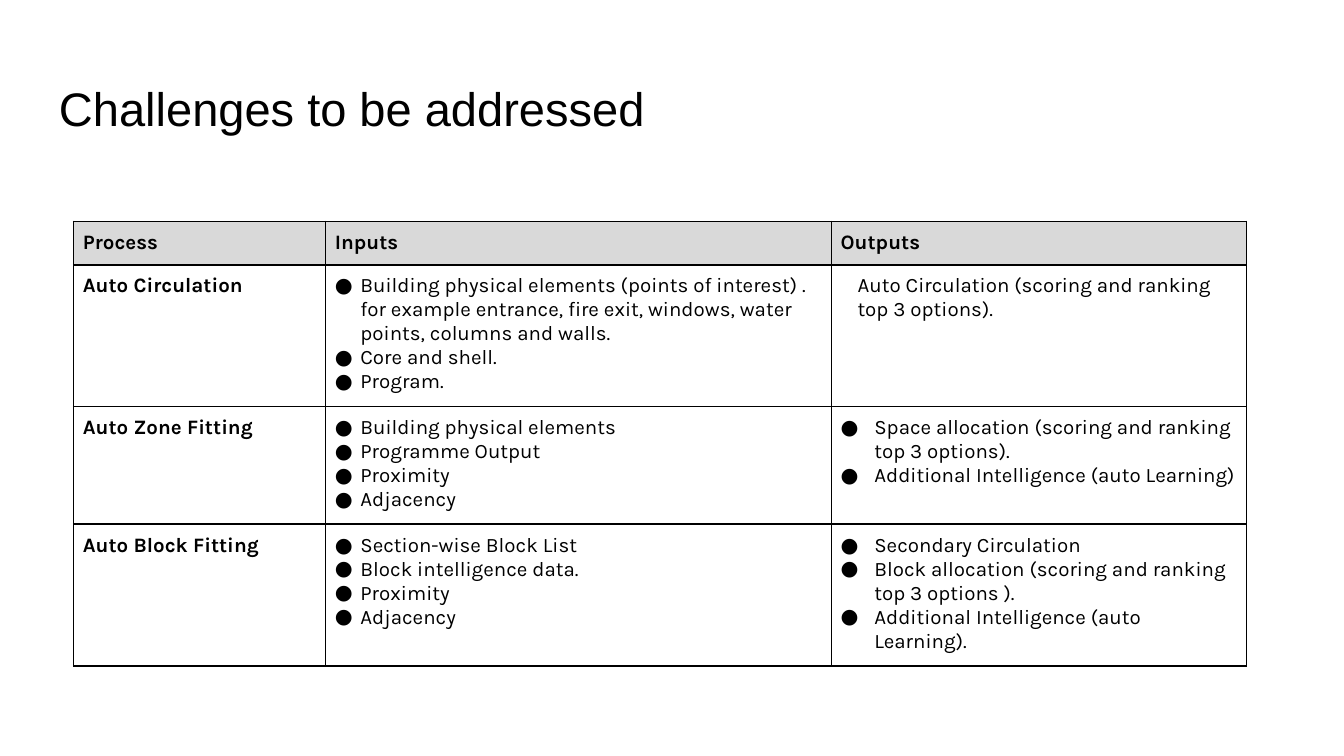
import pptx
import pptx.util
import pptx.dml.color
import pptx.enum.text
import pptx.oxml
import pptx.oxml.ns

Pt = pptx.util.Pt
NS = pptx.oxml.ns.nsdecls("a")


def style(para, font, size, bold=False):
    for run in para.runs:
        run.font.name = font
        run.font.size = Pt(size)
        run.font.bold = bold
        run.font.color.rgb = pptx.dml.color.RGBColor.from_string("000000")


def add_xml(node, xml):
    node.append(pptx.oxml.parse_xml(xml))


deck = pptx.Presentation()
deck.slide_width = Pt(720)
deck.slide_height = Pt(405)
slide = deck.slides.add_slide(deck.slide_layouts[6])

title = slide.shapes.add_textbox(Pt(24.5), Pt(35.3), Pt(671), Pt(45)).text_frame
title.word_wrap = True
title.vertical_anchor = pptx.enum.text.MSO_ANCHOR.MIDDLE
title.margin_left = title.margin_right = Pt(7.2)
title.margin_top = title.margin_bottom = Pt(7.2)
title.text = "Challenges to be addressed"
style(title.paragraphs[0], "Arial", 25.2)

rows = [
    [["Process"], ["Inputs"], ["Outputs"]],
    [
        ["Auto Circulation"],
        [
            "Building physical elements (points of interest) . for example "
            "entrance, fire exit, windows, water points, columns and walls.",
            "Core and shell.",
            "Program.",
        ],
        ["Auto Circulation (scoring and ranking top 3 options)."],
    ],
    [
        ["Auto Zone Fitting"],
        ["Building physical elements", "Programme Output", "Proximity", "Adjacency"],
        [
            "Space allocation (scoring and ranking top 3 options).",
            "Additional Intelligence (auto Learning)",
        ],
    ],
    [
        ["Auto Block Fitting"],
        ["Section-wise Block List", "Block intelligence data.", "Proximity", "Adjacency"],
        [
            "Secondary Circulation",
            "Block allocation (scoring and ranking top 3 options ).",
            "Additional Intelligence (auto Learning).",
        ],
    ],
]
widths = [135, 271, 222.5]
heights = [22.5, 74, 61, 74]
indents = [(0, 0), (13.7, -14.4), (18, -23.8)]

frame = slide.shapes.add_table(
    4, 3, Pt(39.4), Pt(118.6), Pt(sum(widths)), Pt(sum(heights))
)
table = frame.table
for col, width in zip(table.columns, widths):
    col.width = Pt(width)
for row, height in zip(table.rows, heights):
    row.height = Pt(height)

for r, row in enumerate(rows):
    for c, lines in enumerate(row):
        cell = table.cell(r, c)
        cell.margin_left = cell.margin_right = Pt(5)
        cell.margin_top = cell.margin_bottom = Pt(5)
        props = cell._tc.get_or_add_tcPr()
        for side in "LRTB":
            add_xml(
                props,
                f'<a:ln{side} {NS} w="{Pt(1)}"><a:solidFill>'
                f'<a:srgbClr val="000000"/></a:solidFill></a:ln{side}>',
            )
        if r == 0:
            cell.fill.solid()
            cell.fill.fore_color.rgb = pptx.dml.color.RGBColor.from_string("D9D9D9")
        else:
            cell.fill.background()
        cell.text_frame.text = "\n".join(lines)
        for para in cell.text_frame.paragraphs:
            head = r == 0 or c == 0
            props = para._p.get_or_add_pPr()
            if not head and len(lines) > 1:
                left, hang = indents[c]
                props.set("marL", str(Pt(left)))
                props.set("indent", str(Pt(hang)))
                add_xml(props, f'<a:buClr {NS}><a:srgbClr val="000000"/></a:buClr>')
                add_xml(props, f'<a:buFont {NS} typeface="Karla"/>')
                add_xml(props, f'<a:buChar {NS} char="●"/>')
            elif not head:
                props.set("marL", str(Pt(9)))
                props.set("indent", "0")
            style(para, "Karla", 11, head)

deck.save("out.pptx")
